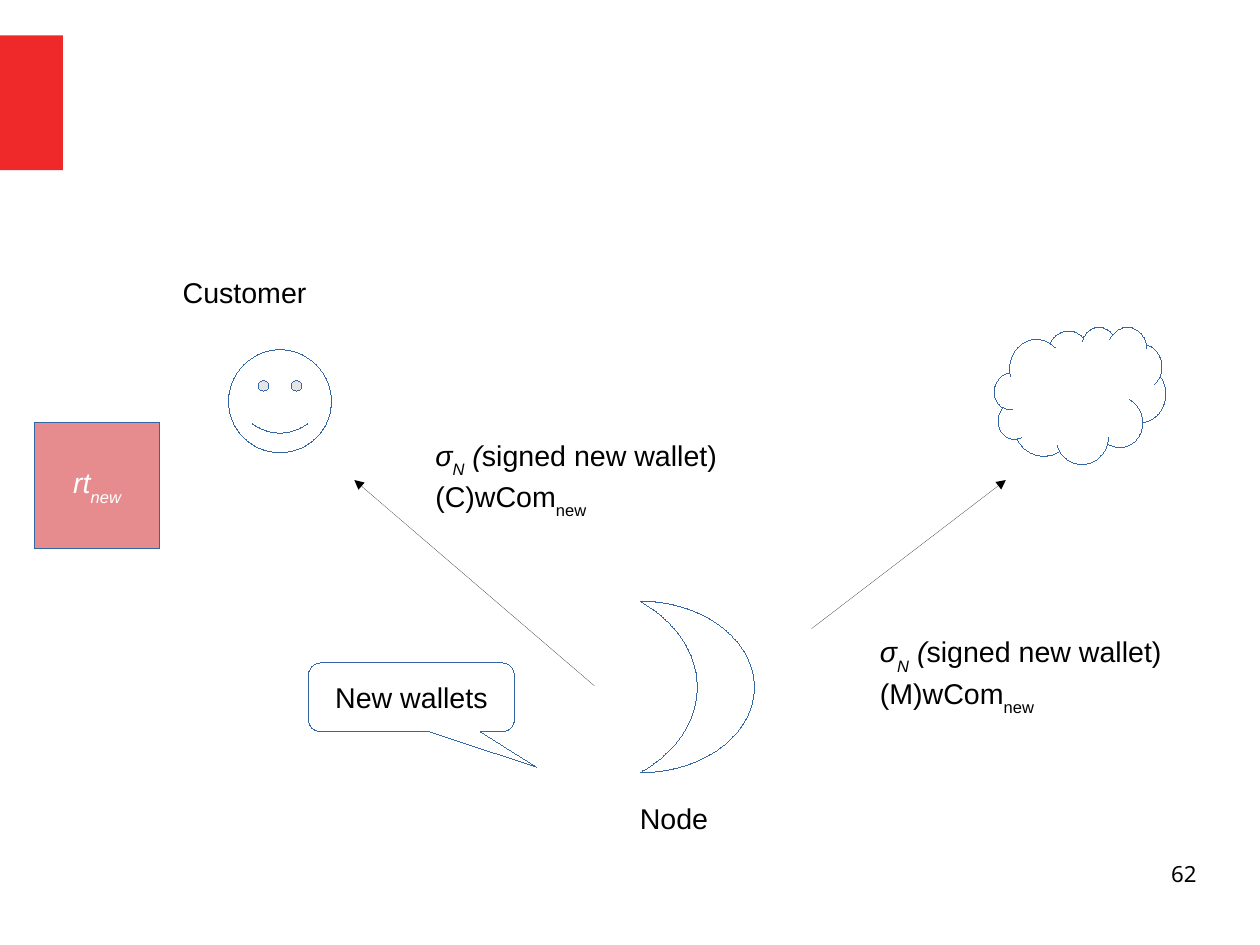
from dataclasses import dataclass

from lxml import etree
from pptx import Presentation
from pptx.dml.color import RGBColor
from pptx.dml.line import LineFormat
from pptx.enum.shapes import MSO_CONNECTOR, MSO_SHAPE
from pptx.enum.text import MSO_ANCHOR, PP_ALIGN
from pptx.oxml.ns import qn
from pptx.shapes.autoshape import Shape
from pptx.slide import Slide
from pptx.text.text import TextFrame
from pptx.util import Pt

RECT, SMILEY = MSO_SHAPE.RECTANGLE, MSO_SHAPE.SMILEY_FACE
CLOUD, MOON = MSO_SHAPE.CLOUD, MSO_SHAPE.MOON
CALLOUT = MSO_SHAPE.ROUNDED_RECTANGULAR_CALLOUT
STRAIGHT = MSO_CONNECTOR.STRAIGHT
LEFT, CENTER, RIGHT = PP_ALIGN.LEFT, PP_ALIGN.CENTER, PP_ALIGN.RIGHT
MIDDLE = MSO_ANCHOR.MIDDLE

COLORS = {
    "red": "EF2929",
    "token": "CE181E",
    "outline": "3465A4",
    "white": "FFFFFF",
    "black": "000000",
}


@dataclass
class Span:
    text: str
    italic: bool = False
    sub: bool = False


Lines = list[list[Span]]


@dataclass
class Figure:
    kind: MSO_SHAPE
    box: tuple[float, float, float, float]
    fill: str = "white"
    lines: Lines | None = None
    color: str = "black"
    rotation: float = 0
    adjustments: tuple[float, ...] = ()


@dataclass
class Label:
    box: tuple[float, float, float, float]
    lines: Lines


@dataclass
class Arrow:
    start: tuple[float, float]
    end: tuple[float, float]


def signed_wallet(party: str) -> Lines:
    """Signature and wallet commitment sent to one party."""
    return [
        [Span("σ", italic=True), Span("N", italic=True, sub=True),
         Span(" (", italic=True), Span("signed new wallet)")],
        [Span(f"({party})wCom"), Span("new", sub=True)],
    ]


FIGURES = [
    Figure(SMILEY, (144, 220.32, 64.8, 64.8)),
    Figure(CLOUD, (626.4, 205.92, 108, 86.4)),
    Figure(MOON, (403.2, 378.72, 72, 108), rotation=180),
    Figure(RECT, (21.6, 266.4, 79.2, 79.2), "token",
           [[Span("rt", italic=True), Span("new", italic=True, sub=True)]], "white"),
    Figure(CALLOUT, (194.4, 417.6, 129.6, 43.2), lines=[[Span("New wallets")]],
           adjustments=(0.61, 1.02, 0.17)),
]

LABELS = [
    Label((108, 169.92, 129.6, 27.36), [[Span("Customer")]]),
    Label((396, 501.12, 151.2, 27.36), [[Span("Node")]]),
    Label((267.12, 272.16, 272.88, 56.16), signed_wallet("C")),
    Label((547.2, 396, 246, 56.16), signed_wallet("M")),
]

ARROWS = [
    Arrow((374.4, 432), (223.2, 302.4)),
    Arrow((511.2, 396), (633.6, 302.4)),
]


def rgb(name: str) -> RGBColor:
    return RGBColor.from_string(COLORS[name])


def set_hairline(line: LineFormat, color: str) -> None:
    """Write the zero width out, as line.width leaves it to the theme."""
    line.color.rgb = rgb(color)
    line._get_or_add_ln().set("w", "0")


def write(tf: TextFrame, lines: Lines, color: str = "black", align: PP_ALIGN = LEFT,
          font: str = "Arial", size: float = 18) -> None:
    for i, spans in enumerate(lines):
        p = tf.paragraphs[0] if i == 0 else tf.add_paragraph()
        p.alignment = align
        for span in spans:
            r = p.add_run()
            r.text = span.text
            r.font.name, r.font.size = font, Pt(size)
            r.font.italic = span.italic
            r.font.color.rgb = rgb(color)
            if span.sub:
                r.font._element.set("baseline", "-33000")


def add_filled(s: Slide, kind: MSO_SHAPE, box: tuple[float, ...], fill: str) -> Shape:
    sp = s.shapes.add_shape(kind, *map(Pt, box))
    sp.shadow.inherit = False
    sp.fill.solid()
    sp.fill.fore_color.rgb = rgb(fill)
    return sp


def add_figure(s: Slide, figure: Figure) -> None:
    """Draw a half-transparent shape with a hairline outline."""
    sp = add_filled(s, figure.kind, figure.box, figure.fill)
    color = sp._element.spPr.find(f"{qn('a:solidFill')}/{qn('a:srgbClr')}")
    etree.SubElement(color, qn("a:alpha"), val="50000")
    set_hairline(sp.line, "outline")
    sp.rotation = figure.rotation
    for i, value in enumerate(figure.adjustments):
        sp.adjustments[i] = value
    if figure.lines:
        tf = sp.text_frame
        tf.word_wrap = False
        tf.vertical_anchor = MIDDLE
        write(tf, figure.lines, figure.color, CENTER)


def add_label(s: Slide, label: Label) -> None:
    tf = s.shapes.add_textbox(*map(Pt, label.box)).text_frame
    tf.word_wrap = True
    write(tf, label.lines)


def add_arrow(s: Slide, arrow: Arrow) -> None:
    line = s.shapes.add_connector(STRAIGHT, *map(Pt, arrow.start + arrow.end))
    set_hairline(line.line, "black")
    etree.SubElement(line.line._get_or_add_ln(), qn("a:tailEnd"), type="triangle")
    etree.SubElement(line._element.spPr, qn("a:effectLst"))


def add_page_number(s: Slide, number: int) -> None:
    tf = s.shapes.add_textbox(Pt(568.8), Pt(542.16), Pt(185.04), Pt(41.04)).text_frame
    tf.word_wrap = True
    tf.margin_left = tf.margin_right = tf.margin_top = tf.margin_bottom = 0
    write(tf, [[Span(str(number))]], align=RIGHT, font="Noto Sans", size=14)


def main() -> None:
    prs = Presentation()
    prs.slide_width, prs.slide_height = Pt(793.7), Pt(595.28)
    s = prs.slides.add_slide(prs.slide_layouts[6])
    add_filled(s, RECT, (0, 22.32, 39.6, 84.96), "red").line.fill.background()
    for figure in FIGURES:
        add_figure(s, figure)
    for label in LABELS:
        add_label(s, label)
    for arrow in ARROWS:
        add_arrow(s, arrow)
    add_page_number(s, 62)
    prs.save("out.pptx")


if __name__ == "__main__":
    main()
